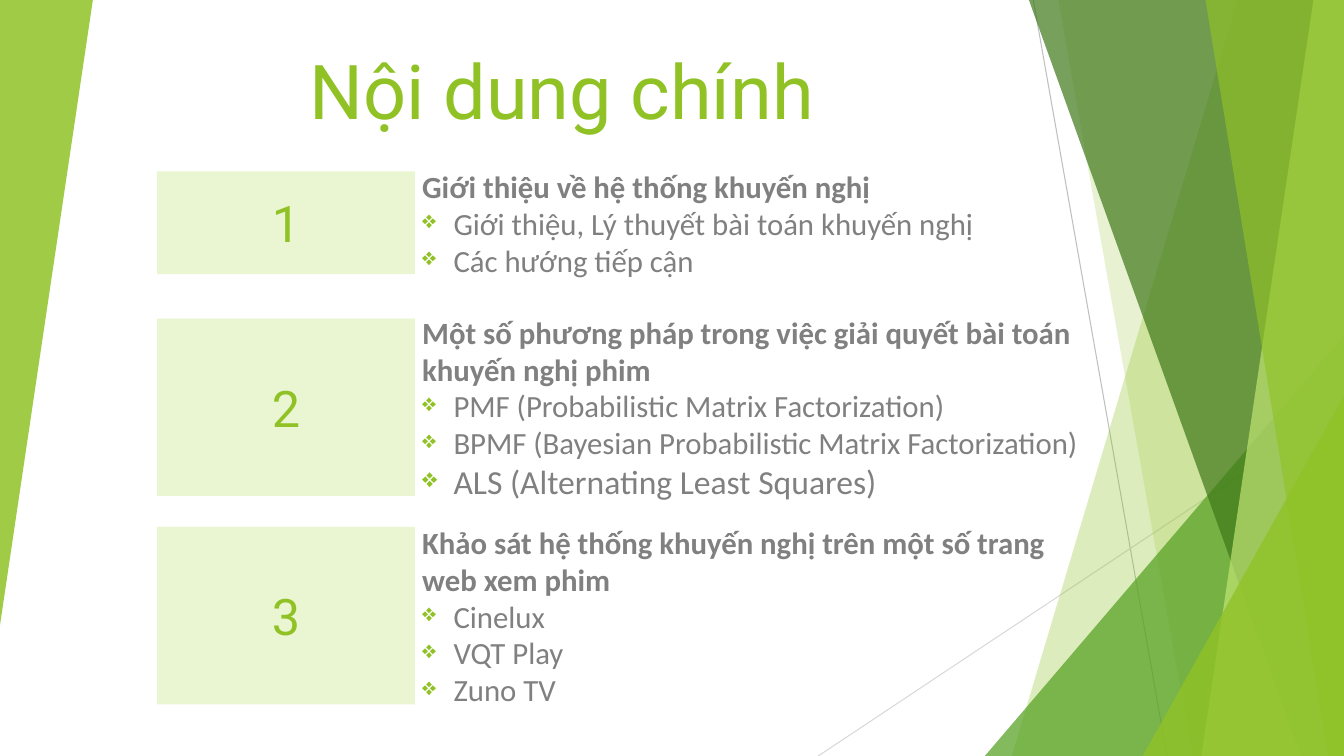
"""Build the agenda slide: a title, three numbered topics and green facets at the sides."""
from lxml import etree
from pptx import Presentation, util as u
from pptx.dml.color import RGBColor
from pptx.enum import shapes as sh, text as tx
from pptx.oxml.ns import qn

HUES = {"lime": "90C226", "leaf": "54A021", "moss": "3F7819", "mint": "C0E474",
        "pale": "EAF6D1", "gray": "808080", "rule": "BFBFBF", "faint": "D9D9D9"}
WIDE, HIGH = 33.87, 19.05
TITLE = "Nội dung chính"
TOPICS = [
    (4.32, 2.59, "Giới thiệu về hệ thống khuyến nghị",
     [("Giới thiệu, Lý thuyết bài toán khuyến nghị", 22), ("Các hướng tiếp cận", 22)]),
    (8.03, 4.47, "Một số phương pháp trong việc giải quyết bài toán khuyến nghị phim",
     [("PMF (Probabilistic Matrix Factorization)", 22),
      ("BPMF (Bayesian Probabilistic Matrix Factorization)", 22),
      ("ALS (Alternating Least Squares)", 24)]),
    (13.28, 4.47, "Khảo sát hệ thống khuyến nghị trên một số trang web xem phim",
     [("Cinelux", 22), ("VQT Play", 22), ("Zuno TV", 22)]),
]
LINES = [((26.04, 0), (29.41, HIGH), "rule"), ((WIDE, 10.24), (20.62, HIGH), "faint")]
FACETS = [
    ("pane", 31.19, 25.5, "lime", 30),
    ("pane", 26.67, 30.05, "lime", 20),
    ("peak", 24.82, 8.46, "leaf", 72),
    ("pane", 25.93, 32.79, "moss", 70),
    ("pane", 33.1, 30.28, "mint", 70),
    ("pane", 30.38, 33.48, "lime", 65),
    ("peak", 28.8, 9.98, "lime", 80),
]

deck = Presentation()
deck.slide_width, deck.slide_height = u.Cm(WIDE), u.Cm(HIGH)
slide = deck.slides.add_slide(deck.slide_layouts[6])
parts = slide.shapes


def hue(name):
    return RGBColor.from_string(HUES[name])


def paint(shape, name, alpha=100):
    shape.shadow.inherit = False
    shape.line.fill.background()
    shape.fill.solid()
    shape.fill.fore_color.rgb = hue(name)
    if alpha < 100:
        tone = shape.fill._xPr.find(".//" + qn("a:srgbClr"))
        etree.SubElement(tone, qn("a:alpha"), val=str(alpha * 1000))


def rule(start, end, name):
    line = parts.add_connector(sh.MSO_CONNECTOR.STRAIGHT, *map(u.Cm, start + end))
    line.line.color.rgb = hue(name)
    line.line.width = u.Pt(0.75)
    etree.SubElement(line._element.spPr, qn("a:effectLst"))


def pane(top, base):
    pen = parts.build_freeform(u.Cm(top), 0, 1.0)
    edge = [(WIDE, 0), (WIDE, HIGH), (base, HIGH)]
    pen.add_line_segments([(u.Cm(x), u.Cm(y)) for x, y in edge], close=True)
    return pen.convert_to_shape()


def peak(left, top, right=WIDE, base=HIGH):
    shape = parts.add_shape(sh.MSO_SHAPE.ISOSCELES_TRIANGLE,
                            *map(u.Cm, (left, top, right - left, base - top)))
    shape.adjustments[0] = 1
    return shape


def style(para, name, size, font, bold=False):
    for run in para.runs:
        run.font.name, run.font.size, run.font.bold = font, u.Pt(size), bold
        run.font.color.rgb = hue(name)


def frame(shape, words, anchor=tx.MSO_ANCHOR.MIDDLE):
    box = shape.text_frame
    box.word_wrap = True
    box.auto_size = tx.MSO_AUTO_SIZE.NONE
    box.vertical_anchor = anchor
    box.margin_left = box.margin_right = box.margin_top = box.margin_bottom = u.Cm(0.25)
    box.text = words
    return box


def label(shape, words, size, anchor=tx.MSO_ANCHOR.MIDDLE):
    para = frame(shape, words, anchor).paragraphs[0]
    para.alignment = tx.PP_ALIGN.CENTER
    style(para, "lime", size, "Roboto")


def bullet(para):
    props = para._p.get_or_add_pPr()
    props.set("marL", str(u.Cm(0.79)))
    props.set("indent", str(-u.Cm(0.79)))
    tint = etree.SubElement(props, qn("a:buClr"))
    etree.SubElement(tint, qn("a:srgbClr"), val=HUES["lime"])
    etree.SubElement(props, qn("a:buSzPct"), val="80000")
    etree.SubElement(props, qn("a:buChar"), char="❖")


for line in LINES:
    rule(*line)
for kind, first, second, name, alpha in FACETS:
    draw = pane if kind == "pane" else peak
    paint(draw(first, second), name, alpha)
side = peak(0, 0, 2.34, 15.75)
side.rotation = 180
paint(side, "lime", 85)

for count, (top, tall, head, items) in enumerate(TOPICS, 1):
    tile = parts.add_shape(sh.MSO_SHAPE.RECTANGLE, *map(u.Cm, (3.96, top, 6.5, tall)))
    paint(tile, "pale")
    label(tile, str(count), 36)
    body = frame(parts.add_textbox(*map(u.Cm, (10.39, top, 17.3, tall))), head)
    style(body.paragraphs[0], "gray", 22, "Calibri", True)
    for words, size in items:
        para = body.add_paragraph()
        para.text = words
        bullet(para)
        style(para, "gray", size, "Calibri")

label(parts.add_textbox(*map(u.Cm, (3.96, 0.86, 20.4, 2.59))), TITLE, 54, tx.MSO_ANCHOR.TOP)
deck.save("out.pptx")
